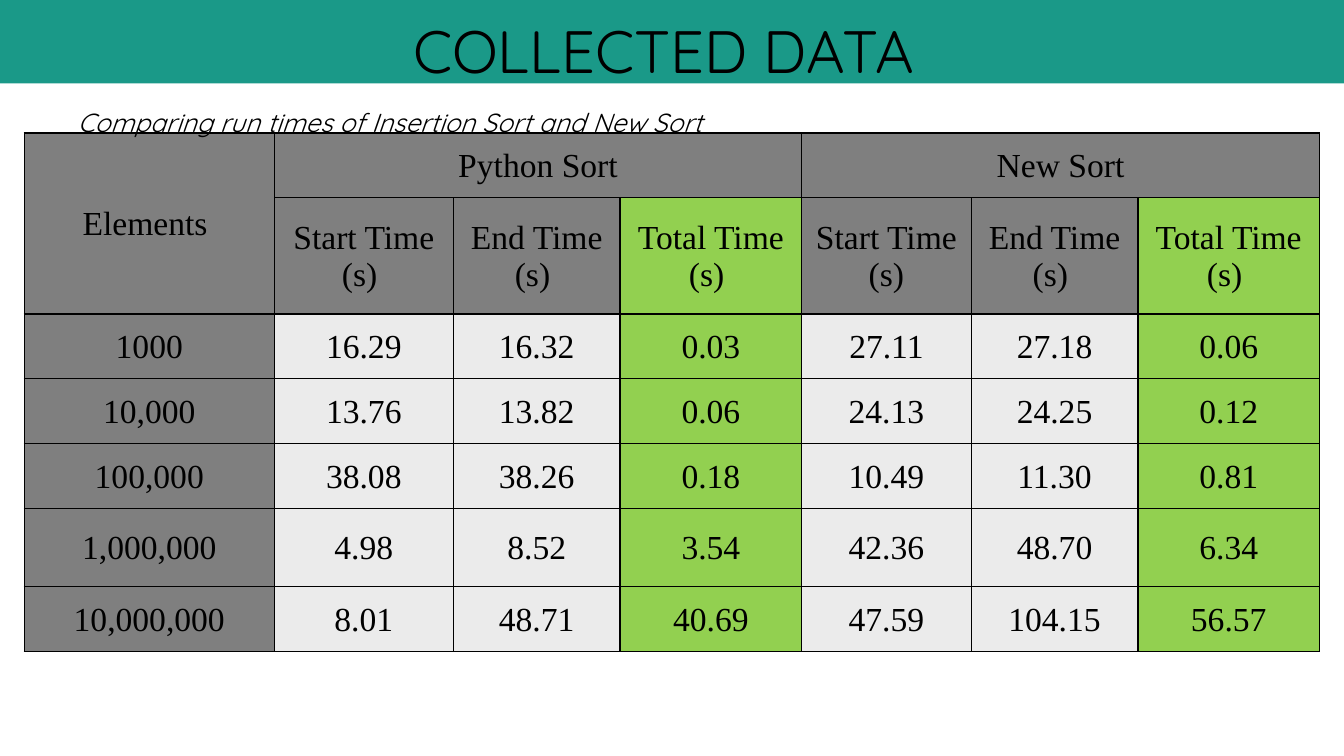
from lxml.etree import SubElement
from pptx import Presentation
from pptx.dml.color import RGBColor
from pptx.enum.shapes import MSO_SHAPE
from pptx.enum.text import MSO_ANCHOR, PP_ALIGN
from pptx.oxml.ns import qn
from pptx.util import Inches, Pt

TITLE = "COLLECTED DATA "
SUBTITLE = "Comparing run times of Insertion Sort and New Sort"
HEADINGS = [
    ["Elements ", "Python Sort", "", "", "New Sort", "", ""],
    ["", "Start Time (s) ", "End Time (s) ", "Total Time (s) ",
     "Start Time (s)", "End Time (s) ", "Total Time (s) "],
]
TIMINGS = [
    ["1000", "16.29", "16.32", "0.03", "27.11", "27.18", "0.06"],
    ["10,000", "13.76", "13.82", "0.06", "24.13", "24.25", "0.12"],
    ["100,000", "38.08", "38.26", "0.18", "10.49", "11.30", "0.81"],
    ["1,000,000", "4.98", "8.52", "3.54", "42.36", "48.70", "6.34"],
    ["10,000,000", "8.01", "48.71", "40.69", "47.59", "104.15", "56.57"],
]
MERGES = [((0, 0), (1, 0)), ((0, 1), (0, 3)), ((0, 4), (0, 6))]
TOTAL_COLUMNS = (3, 6)
TABLE_WIDTH, TABLE_HEIGHT = 9.64, 3.86
COLUMN_SHARES = [1.86, 1.33, 1.24, 1.35, 1.26, 1.24, 1.35]
ROW_SHARES = [0.48, 0.86, 0.48, 0.48, 0.48, 0.58, 0.48]
COLORS = {"banner": "1A9988", "heading": "7F7F7F", "total": "92D050",
          "value": "EBEBEB", "ink": "000000"}
TITLE_FONT = {"name": "Quicksand", "size": Pt(32)}
SUBTITLE_FONT = {"name": "Quicksand", "size": Pt(14), "italic": True}
TABLE_FONT = {"name": "Times New Roman", "size": Pt(18)}
BOX_MARGINS = dict.fromkeys(
    ["margin_left", "margin_top", "margin_right", "margin_bottom"], Inches(0.1))
CELL_FORMAT = {"margin_left": Inches(0.01), "margin_top": Inches(0.01),
               "margin_right": Inches(0.01), "margin_bottom": 0,
               "vertical_anchor": MSO_ANCHOR.MIDDLE}


def set_all(target, values):
    for name, value in values.items():
        setattr(target, name, value)


def share_out(total, shares):
    """Split a length in inches in proportion to the shares."""
    return [Inches(total * share / sum(shares)) for share in shares]


def paint(fill, color):
    fill.solid()
    fill.fore_color.rgb = RGBColor.from_string(COLORS[color])


def write(frame, text, font, align):
    para = frame.paragraphs[0]
    para.alignment = align
    span = para.add_run()
    span.text = text
    set_all(span.font, font)
    span.font.color.rgb = RGBColor.from_string(COLORS["ink"])


def write_box(box, text, font, align):
    frame = box.text_frame
    set_all(frame, {"word_wrap": True, "vertical_anchor": MSO_ANCHOR.TOP, **BOX_MARGINS})
    write(frame, text, font, align)


def add_borders(cell):
    properties = cell._tc.get_or_add_tcPr()
    for position, side in enumerate(["lnL", "lnR", "lnT", "lnB"]):
        line = SubElement(properties, qn(f"a:{side}"), w=str(Pt(0.75)))
        fill = SubElement(line, qn("a:solidFill"))
        SubElement(fill, qn("a:srgbClr"), val=COLORS["ink"])
        properties.insert(position, line)  # borders precede the cell fill


def cell_color(row, column):
    if column in TOTAL_COLUMNS and row > 0:
        return "total"
    return "heading" if row < len(HEADINGS) or column == 0 else "value"


def add_timing_table(page):
    rows = HEADINGS + TIMINGS
    table = page.shapes.add_table(
        len(rows), len(COLUMN_SHARES), Inches(0.18), Inches(0.99),
        Inches(TABLE_WIDTH), Inches(TABLE_HEIGHT)).table
    for column, width in zip(table.columns, share_out(TABLE_WIDTH, COLUMN_SHARES)):
        column.width = width
    for row, height in zip(table.rows, share_out(TABLE_HEIGHT, ROW_SHARES)):
        row.height = height
    for first, last in MERGES:
        table.cell(*first).merge(table.cell(*last))
    for r, texts in enumerate(rows):
        for c, text in enumerate(texts):
            cell = table.cell(r, c)
            set_all(cell, CELL_FORMAT)
            paint(cell.fill, cell_color(r, c))
            add_borders(cell)
            if text:
                write(cell.text_frame, text, TABLE_FONT, PP_ALIGN.CENTER)


def main():
    deck = Presentation()
    deck.slide_width = Inches(10)
    deck.slide_height = deck.slide_width * 9 // 16
    page = deck.slides.add_slide(deck.slide_layouts[6])

    add_timing_table(page)

    banner = page.shapes.add_shape(
        MSO_SHAPE.RECTANGLE, 0, 0, deck.slide_width, Inches(0.62))
    banner.shadow.inherit = False
    paint(banner.fill, "banner")
    banner.line.fill.background()
    write_box(banner, TITLE, TITLE_FONT, PP_ALIGN.CENTER)

    subtitle = page.shapes.add_textbox(
        Inches(0.48), Inches(0.69), Inches(7.84), Inches(0.22))
    write_box(subtitle, SUBTITLE, SUBTITLE_FONT, PP_ALIGN.LEFT)

    deck.save("out.pptx")


if __name__ == "__main__":
    main()
